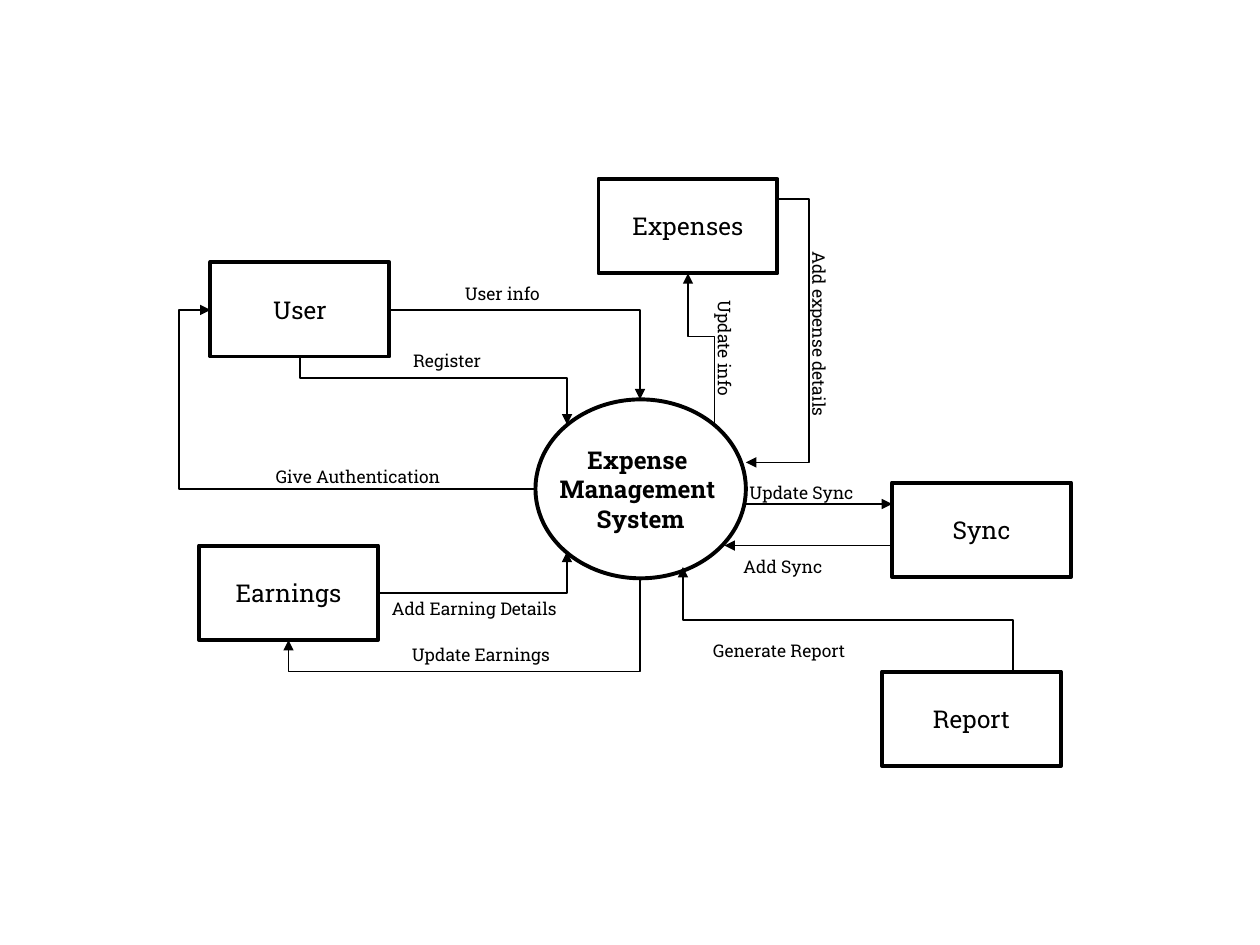
"""Build a data flow diagram of an expense management system."""
from lxml import etree
from pptx import Presentation
from pptx.dml.color import RGBColor
from pptx.enum.shapes import MSO_CONNECTOR, MSO_SHAPE
from pptx.enum.text import MSO_ANCHOR, MSO_AUTO_SIZE, PP_ALIGN
from pptx.oxml.ns import qn
from pptx.util import Inches, Pt

BLACK = RGBColor(0, 0, 0)
FONT = "Roboto Slab"
ELLIPSE, RECTANGLE = MSO_SHAPE.OVAL, MSO_SHAPE.RECTANGLE
STRAIGHT, ELBOW = MSO_CONNECTOR.STRAIGHT, MSO_CONNECTOR.ELBOW
LEFT, CENTER = PP_ALIGN.LEFT, PP_ALIGN.CENTER
TOP, MIDDLE = MSO_ANCHOR.TOP, MSO_ANCHOR.MIDDLE
FIT_SHAPE, FIXED = MSO_AUTO_SIZE.SHAPE_TO_FIT_TEXT, MSO_AUTO_SIZE.NONE
NODE_WIDTH, NODE_HEIGHT, LABEL_HEIGHT = 1.42, 0.75, 0.27


def write(box, lines, size=10, bold=False, align=LEFT, anchor=TOP, fit=FIT_SHAPE):
    frame = box.text_frame
    frame.word_wrap = False
    frame.auto_size = fit
    frame.vertical_anchor = anchor
    for index, line in enumerate(lines):
        para = frame.add_paragraph() if index else frame.paragraphs[0]
        para.alignment = align
        span = para.add_run()
        span.text = line
        span.font.name = FONT
        span.font.size = Pt(size)
        span.font.bold = bold
        span.font.color.rgb = BLACK


def add_arrow(page, points):
    (x1, y1), (x2, y2) = points[0], points[-1]
    across, down = x2 - x1, y2 - y1
    if len(points) == 2:
        arrow = page.shapes.add_connector(STRAIGHT, *map(Inches, (x1, y1, x2, y2)))
    else:
        upright = points[1][0] == x1
        width, height = (-down, across) if upright else (across, down)
        turn = 270 if upright else 0
        if width < 0 and height < 0:
            width, height, turn = -width, -height, (turn + 180) % 360
        middle_x, middle_y = (x1 + x2) / 2, (y1 + y2) / 2
        arrow = page.shapes.add_connector(
            ELBOW,
            Inches(middle_x - width / 2), Inches(middle_y - height / 2),
            Inches(middle_x + width / 2), Inches(middle_y + height / 2))
        properties = arrow.element.spPr
        properties.find(qn("a:xfrm")).set("rot", str(turn * 60000))
        geometry = properties.find(qn("a:prstGeom"))
        geometry.set("prst", f"bentConnector{len(points) - 1}")
        if len(points) == 4:
            bend = (points[1][1] - y1) / down if upright else (points[1][0] - x1) / across
            guides = geometry.find(qn("a:avLst"))
            etree.SubElement(guides, qn("a:gd"), name="adj1", fmla=f"val {round(bend * 100000)}")
    arrow.line.color.rgb = BLACK
    arrow.line.width = Pt(1)
    etree.SubElement(arrow.line._get_or_add_ln(), qn("a:tailEnd"), type="triangle")
    etree.SubElement(arrow.element.spPr, qn("a:effectLst"))


deck = Presentation()
deck.slide_width, deck.slide_height = Inches(10), Inches(7.5)
page = deck.slides.add_slide(deck.slide_layouts[6])

nodes = [
    (ELLIPSE, 4.25, 3.17, 1.67, 1.42, ["Expense ", "Management ", "System"]),
    (RECTANGLE, 1.58, 4.33, NODE_WIDTH, NODE_HEIGHT, ["Earnings"]),
    (RECTANGLE, 1.67, 2.08, NODE_WIDTH, NODE_HEIGHT, ["User"]),
    (RECTANGLE, 7.08, 3.83, NODE_WIDTH, NODE_HEIGHT, ["Sync"]),
    (RECTANGLE, 4.75, 1.42, NODE_WIDTH, NODE_HEIGHT, ["Expenses"]),
    (RECTANGLE, 7, 5.33, NODE_WIDTH, NODE_HEIGHT, ["Report"]),
]
for kind, left, top, width, height, lines in nodes:
    node = page.shapes.add_shape(kind, *map(Inches, (left, top, width, height)))
    node.shadow.inherit = False
    node.fill.background()
    node.line.color.rgb = BLACK
    node.line.width = Pt(2.25)
    write(node, lines, size=14, bold=kind == ELLIPSE, align=CENTER, anchor=MIDDLE, fit=FIXED)

labels = [
    ("Update Earnings", 3.17, 5.06, 1.34, 0),
    ("Add Earning Details", 3.01, 4.7, 1.56, 0),
    ("User info", 3.59, 2.2, 0.81, 0),
    ("Generate Report", 5.56, 5.03, 1.3, 0),
    ("Add Sync", 5.8, 4.36, 0.84, 0),
    ("Update Sync", 5.85, 3.78, 1.06, 0),
    ("Add expense details", 5.73, 2.53, 1.54, 90),
    ("Give Authentication", 2.09, 3.65, 1.54, 0),
    ("Register", 3.18, 2.73, 0.74, 0),
    ("Update info", 5.26, 2.64, 0.98, 90),
]
for text, left, top, width, turn in labels:
    label = page.shapes.add_textbox(*map(Inches, (left, top, width, LABEL_HEIGHT)))
    label.rotation = turn
    write(label, [text])

flows = [
    [(3.08, 2.46), (5.08, 2.46), (5.08, 3.17)],
    [(2.38, 2.83), (2.38, 3), (4.5, 3), (4.5, 3.37)],
    [(5.67, 3.37), (5.67, 2.67), (5.46, 2.67), (5.46, 2.17)],
    [(6.17, 1.58), (6.42, 1.58), (6.42, 3.67), (5.92, 3.67)],
    [(4.25, 3.88), (1.42, 3.88), (1.42, 2.46), (1.67, 2.46)],
    [(8.04, 5.33), (8.04, 4.92), (5.42, 4.92), (5.42, 4.5)],
    [(5.08, 4.58), (5.08, 5.33), (2.29, 5.33), (2.29, 5.08)],
    [(3, 4.71), (4.5, 4.71), (4.5, 4.38)],
    [(5.92, 4), (7.08, 4)],
    [(7.08, 4.33), (5.75, 4.33)],
]
for points in flows:
    add_arrow(page, points)

deck.save("out.pptx")
